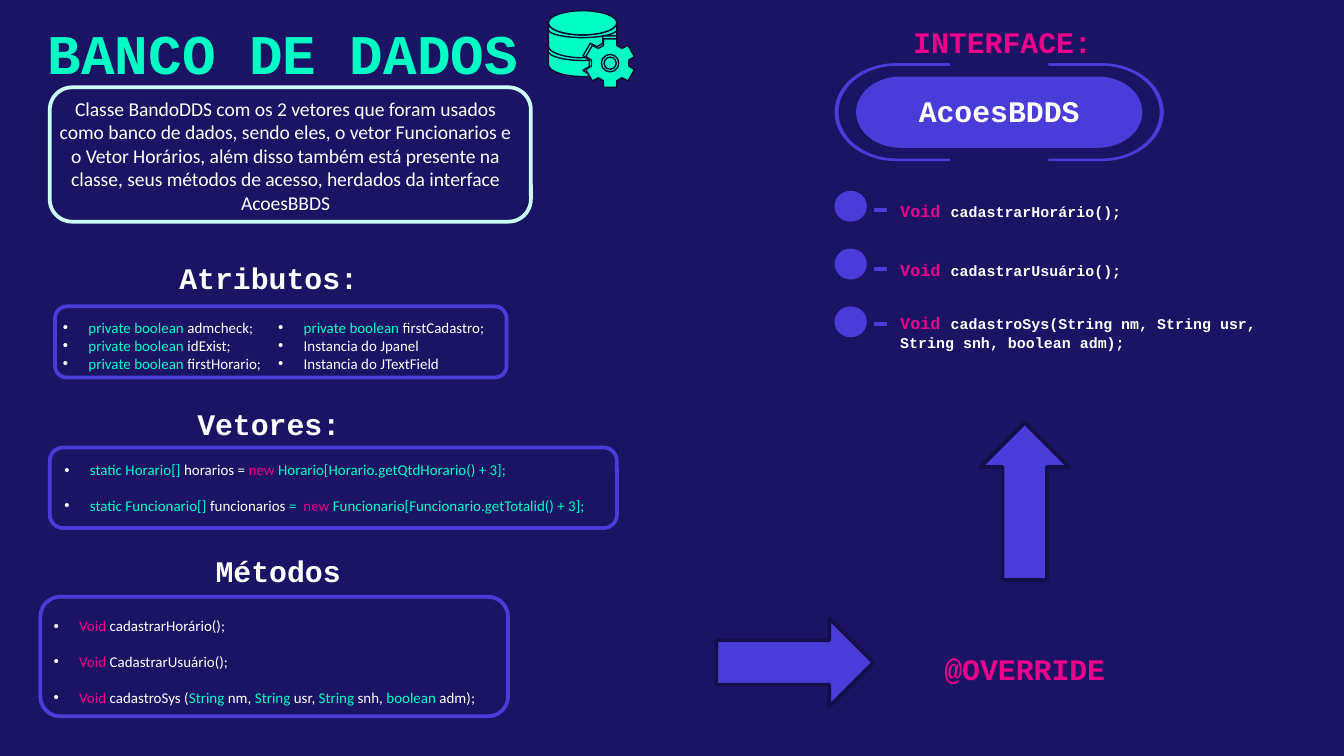
from math import cos, radians, sin

from lxml.etree import SubElement
from pptx import Presentation
from pptx.dml.color import RGBColor
from pptx.enum.shapes import MSO_CONNECTOR, MSO_SHAPE as Preset
from pptx.enum.text import MSO_ANCHOR as Anchor, MSO_AUTO_SIZE as AutoSize, PP_ALIGN as Align
from pptx.oxml.ns import qn
from pptx.util import Inches, Pt

NAVY = RGBColor(0x1B, 0x14, 0x64)
GREEN = RGBColor(0x00, 0xFF, 0xC5)
MINT = RGBColor(0xCC, 0xFF, 0xF3)
PURPLE = RGBColor(0x4A, 0x3C, 0xD8)
PINK = RGBColor(0xEC, 0x00, 0x8C)
WHITE = RGBColor(0xFF, 0xFF, 0xFF)
INK = RGBColor(0x0E, 0x0A, 0x32)
ARROW_EDGE = RGBColor(0x14, 0x0F, 0x4A)
CODE = {"name": "Courier New", "bold": True}
BODY = {"name": "Calibri", "bold": False}

ATTRIBUTES = [
    *[[("private boolean ", GREEN), (name, WHITE)]
      for name in ("admcheck;", "idExist;", "firstHorario;", "firstCadastro;")],
    [("Instancia do Jpanel", WHITE)],
    [("Instancia do JTextField", WHITE)],
]
VECTORS = [
    [("static Horario[] ", GREEN), ("horarios = ", WHITE), ("new ", PINK),
     ("Horario[Horario.getQtdHorario() + 3];", GREEN)],
    [("static Funcionario[] ", GREEN), ("funcionarios", WHITE), (" =  ", GREEN),
     ("new ", PINK), ("Funcionario[Funcionario.getTotalid() + 3];", GREEN)],
]
METHODS = [
    [("Void ", PINK), ("cadastrarHorário();", WHITE)],
    [("Void ", PINK), ("CadastrarUsuário();", WHITE)],
    [("Void ", PINK), ("cadastroSys (", WHITE), ("String", GREEN), (" nm, ", WHITE),
     ("String ", GREEN), ("usr, ", WHITE), ("String ", GREEN), ("snh, ", WHITE),
     ("boolean ", GREEN), ("adm);", WHITE)],
]
SIGNATURES = [
    (1.42, 1.56, 1.39, "cadastrarHorário();"),
    (1.85, 2, 1.83, "cadastrarUsuário();"),
    (2.28, 2.41, 2.23, "cadastroSys(String nm, String usr, String snh, boolean adm);"),
]


def inches(box):
    """Convert a box of numbers to lengths."""
    return [Inches(value) for value in box]


def paint(shape, fill=None, line=None, weight=2):
    """Set fill and outline, and drop the shadow."""
    shape.shadow.inherit = False
    if fill is None:
        shape.fill.background()
    else:
        shape.fill.solid()
        shape.fill.fore_color.rgb = fill
    if line is None:
        shape.line.fill.background()
    else:
        shape.line.color.rgb = line
        shape.line.width = Pt(weight)
    return shape


def add_preset(shapes, preset, box, **style):
    """Add a painted preset shape."""
    return paint(shapes.add_shape(preset, *inches(box)), **style)


def add_outline(shapes, points, **style):
    """Add a painted closed polygon."""
    first, *rest = [inches(point) for point in points]
    builder = shapes.build_freeform(*first, scale=1.0)
    builder.add_line_segments(rest, close=True)
    return paint(builder.convert_to_shape(), **style)


def arc(center, radii, start, end, steps=30):
    """Return points along an elliptical arc, angles in degrees."""
    angles = [radians(start + (end - start) * step / steps) for step in range(steps + 1)]
    return [(center[0] + radii[0] * cos(a), center[1] + radii[1] * sin(a)) for a in angles]


def prepare_frame(shape, anchor=Anchor.TOP):
    """Set wrapping, margins and anchor of a text frame."""
    frame = shape.text_frame
    values = {"word_wrap": True, "auto_size": AutoSize.NONE, "vertical_anchor": anchor}
    values.update({f"margin_{side}": Inches(0.1) for side in ("left", "top", "right", "bottom")})
    for name, value in values.items():
        setattr(frame, name, value)
    return frame


def add_run(paragraph, text, color, size, font):
    """Append a formatted run."""
    run = paragraph.add_run()
    run.text = text
    for name, value in {**font, "size": Pt(size)}.items():
        setattr(run.font, name, value)
    run.font.color.rgb = color


def fill_placeholder(shape, box, text, color, size, font, anchor):
    """Move a placeholder to the front and write centred text in it."""
    shape.left, shape.top, shape.width, shape.height = inches(box)
    paragraph = prepare_frame(shape, anchor).paragraphs[0]
    paragraph.alignment = Align.CENTER
    paragraph.space_before = Pt(0)
    add_run(paragraph, text, color, size, font)
    shape.element.getparent().append(shape.element)


def add_heading(slide, box, text, color=WHITE):
    """Add a centred section heading."""
    frame = prepare_frame(slide.shapes.add_textbox(*inches(box)))
    frame.paragraphs[0].alignment = Align.CENTER
    add_run(frame.paragraphs[0], text, color, 16, CODE)


def add_bullets(slide, box, items, gap=0, columns=1):
    """Add a bulleted list of coloured code lines."""
    shape = slide.shapes.add_textbox(*inches(box))
    frame = prepare_frame(shape)
    shape.element.txBody.find(qn("a:bodyPr")).set("numCol", str(columns))
    for index, item in enumerate(items):
        paragraph = frame.add_paragraph() if index else frame.paragraphs[0]
        paragraph.space_before = Pt(gap if index else 0)
        properties = paragraph._p.get_or_add_pPr()
        properties.set("marL", str(Inches(0.19)))
        properties.set("indent", str(-Inches(0.19)))
        color = SubElement(SubElement(properties, qn("a:buClr")), qn("a:srgbClr"))
        color.set("val", str(WHITE))
        SubElement(properties, qn("a:buFont")).set("typeface", "Arial")
        SubElement(properties, qn("a:buChar")).set("char", "•")
        for text, text_color in item:
            add_run(paragraph, text, text_color, 8, BODY)


def add_section(slide, heading, heading_box, frame_box, list_box, items, **layout):
    """Add a heading, a rounded frame and its list."""
    add_heading(slide, heading_box, heading)
    add_bullets(slide, list_box, items, **layout)
    add_preset(slide.shapes, Preset.ROUNDED_RECTANGLE, frame_box, line=PURPLE)


def add_database_icon(slide, left, top):
    """Add a striped cylinder with a gear in front."""
    shapes = slide.shapes.add_group_shape().shapes
    style = {"fill": GREEN, "line": INK, "weight": 0.75}
    middle, radius = left + 0.255, 0.255
    hub = (left + 0.46, top + 0.39)

    def add_band(upper, lower, depth):
        """Add a curved band of the cylinder."""
        add_outline(shapes, arc((middle, top + upper), (radius, 0.09), 180, 0)
                    + arc((middle, top + lower), (radius, depth), 0, 180), **style)

    def gear(scale):
        """Return the points of a six-toothed gear."""
        profile = [(0.14, -21), (0.187, -15), (0.187, 15), (0.14, 21)]
        return [(hub[0] + scale * reach * cos(radians(tooth + turn)),
                 hub[1] + scale * reach * sin(radians(tooth + turn)))
                for tooth in range(30, 390, 60) for reach, turn in profile]

    for band in ((0.09, 0.4, 0.09), (0.09, 0.14, 0.06), (0.26, 0.3, 0.07)):
        add_band(*band)
    add_outline(shapes, [(min(x, left + 0.51), min(y, top + 0.48)) for x, y in gear(1.12)], **style)
    add_preset(shapes, Preset.OVAL, (left, top, 0.51, 0.18), **style)
    add_outline(shapes, gear(1), **style)
    for size in (0.13, 0.09):
        add_preset(shapes, Preset.OVAL, (hub[0] - size / 2, hub[1] - size / 2, size, size), **style)


def add_interface_badge(slide, left, top, width, height):
    """Add the capsule, its two side brackets and its name."""
    shapes = slide.shapes.add_group_shape().shapes
    middle = top + height / 2
    ends = ((left + 0.46, 1), (left + width - 0.46, -1))
    capsule = (arc((ends[0][0] + 0.03, middle), (0.33, 0.265), 90, 270)
               + arc((ends[1][0] - 0.03, middle), (0.33, 0.265), -90, 90))
    add_outline(shapes, capsule, fill=PURPLE)
    for center, side in ends:
        tip = center + side * 0.4
        outer = arc((center, middle), (-side * 0.46, 0.365), -90, 90)
        inner = arc((center, middle), (-side * 0.43, 0.345), 90, -90)
        add_outline(shapes, [(tip, outer[0][1]), *outer, (tip, outer[-1][1]),
                             (tip, inner[0][1]), *inner, (tip, inner[-1][1])], fill=PURPLE)
    add_heading(slide, (left + 0.44, top + 0.12, 1.57, 0.44), "AcoesBDDS")


def add_signature(slide, left, dot_top, dash_top, text_top, text):
    """Add a dot, a dash and a method signature."""
    add_preset(slide.shapes, Preset.FLOWCHART_CONNECTOR, (left, dot_top, 0.24, 0.23), fill=PURPLE)
    ends = inches((left + 0.29, dash_top, left + 0.39, dash_top))
    dash = slide.shapes.add_connector(MSO_CONNECTOR.STRAIGHT, *ends)
    dash.line.color.rgb = PURPLE
    dash.line.width = Pt(2.25)
    SubElement(dash.element.spPr, qn("a:effectLst"))
    box = slide.shapes.add_textbox(*inches((left + 0.39, text_top, 2.86, 0.35)))
    paragraph = prepare_frame(box).paragraphs[0]
    add_run(paragraph, "Void ", PINK, 9, CODE)
    add_run(paragraph, text, WHITE, 8, CODE)


def build():
    """Build and save the slide."""
    presentation = Presentation()
    presentation.slide_width = Inches(10)
    presentation.slide_height = Inches(10 * 9 / 16)
    slide = presentation.slides.add_slide(presentation.slide_layouts[0])
    slide.background.fill.solid()
    slide.background.fill.fore_color.rgb = NAVY
    title, subtitle = slide.placeholders
    fill_placeholder(title, (0.05, 0.04, 4.11, 0.77), "BANCO DE DADOS", GREEN, 30, CODE, Anchor.TOP)
    add_database_icon(slide, 4.08, 0.08)
    add_preset(slide.shapes, Preset.ROUNDED_RECTANGLE, (0.37, 0.65, 3.58, 1), fill=NAVY, line=MINT)
    summary = ("Classe BandoDDS com os 2 vetores que foram usados como banco de dados, sendo eles, "
               "o vetor Funcionarios e o Vetor Horários, além disso também está presente na classe, "
               "seus métodos de acesso, herdados da interface AcoesBBDS")
    fill_placeholder(subtitle, (0.3, 0.61, 3.65, 1.09), summary, WHITE, 10.5, BODY, Anchor.MIDDLE)
    add_section(slide, "Atributos:", (1.15, 1.83, 1.7, 0.44), (0.41, 2.28, 3.36, 0.53),
                (0.37, 2.27, 3.4, 0.68), ATTRIBUTES, columns=2)
    add_section(slide, "Vetores:", (1.15, 2.92, 1.7, 0.44), (0.37, 3.33, 4.22, 0.6),
                (0.38, 3.33, 4.12, 0.68), VECTORS, gap=9.6)
    add_section(slide, "Métodos", (1.22, 4.01, 1.7, 0.44), (0.3, 4.44, 3.48, 0.89),
                (0.3, 4.49, 4.12, 0.82), METHODS, gap=9.6)
    add_heading(slide, (6.6, 0.08, 1.72, 0.44), "INTERFACE:", PINK)
    add_interface_badge(slide, 6.21, 0.47, 2.45, 0.73)
    for signature in SIGNATURES:
        add_signature(slide, 6.21, *signature)
    for left, top, rotation in ((5.33, 4.6, 0), (7.04, 3.4, 270)):
        arrow = add_preset(slide.shapes, Preset.RIGHT_ARROW, (left, top, 1.17, 0.66),
                           fill=PURPLE, line=ARROW_EDGE)
        arrow.rotation = rotation
    add_heading(slide, (6.84, 4.74, 1.57, 0.44), "@OVERRIDE", PINK)
    presentation.save("out.pptx")


if __name__ == "__main__":
    build()
